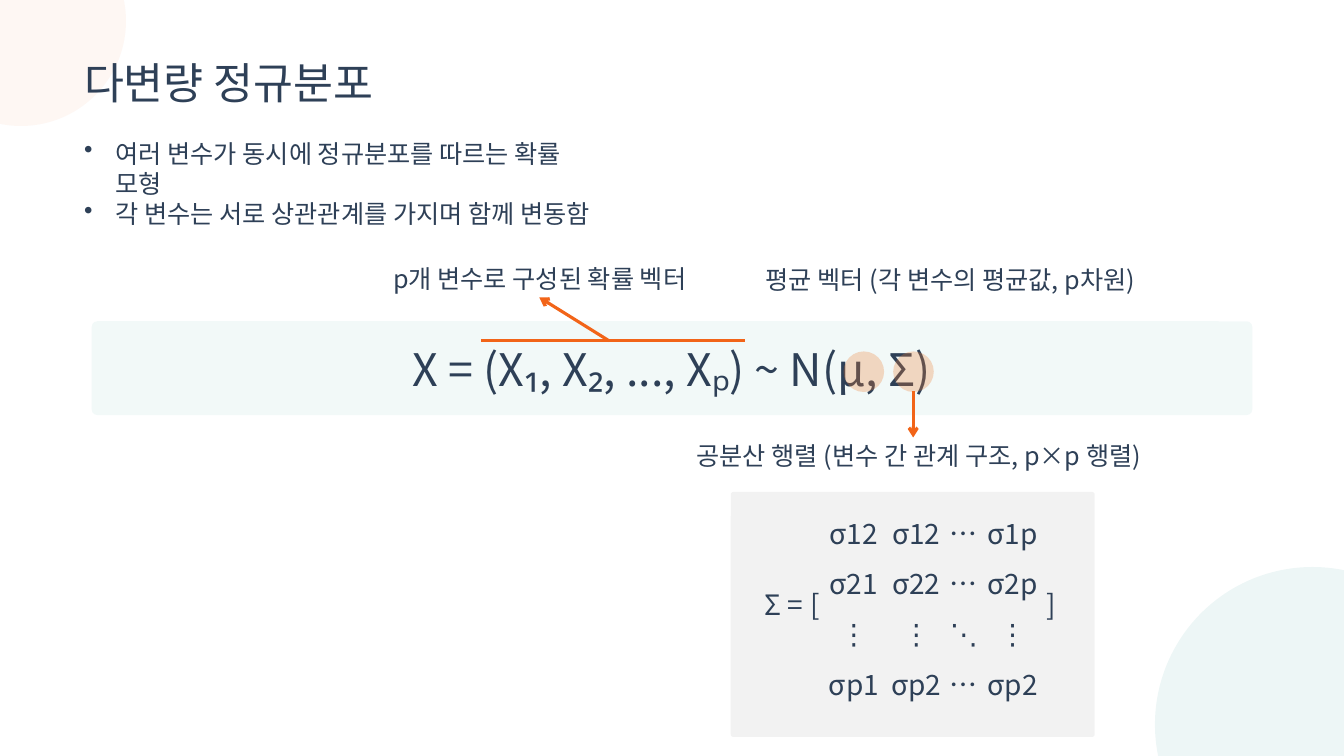
from dataclasses import dataclass

from lxml import etree
from pptx import Presentation
from pptx.dml.color import RGBColor
from pptx.enum.shapes import MSO_CONNECTOR, MSO_SHAPE
from pptx.enum.text import MSO_ANCHOR, PP_ALIGN
from pptx.oxml.ns import qn
from pptx.util import Pt

OVAL, ROUND = MSO_SHAPE.OVAL, MSO_SHAPE.ROUNDED_RECTANGLE
STRAIGHT = MSO_CONNECTOR.STRAIGHT
LEFT, CENTER = PP_ALIGN.LEFT, PP_ALIGN.CENTER
TOP, MIDDLE = MSO_ANCHOR.TOP, MSO_ANCHOR.MIDDLE

FACE = "Noto Sans CJK KR"
INK, TEAL, ORANGE, AMBER, BLACK = "2E4057", "048A81", "F26418", "ED7D31", "000000"
INDENT = 22.5


@dataclass
class Panel:
    kind: int
    box: tuple[float, float, float, float]
    color: str
    alpha: int
    round: float = 0


@dataclass
class Label:
    box: tuple[float, float, float, float]
    lines: tuple[str, ...]
    size: float = 18
    align: int = LEFT
    anchor: int = MIDDLE
    bullet: bool = False


@dataclass
class Rule:
    start: tuple[float, float]
    end: tuple[float, float]
    arrow: bool = True


def paint(color: str) -> RGBColor:
    return RGBColor.from_string(color)


def add_bullet(para) -> None:
    props = para._p.get_or_add_pPr()
    props.set("marL", str(Pt(INDENT)))
    props.set("indent", str(-Pt(INDENT)))
    etree.SubElement(props, qn("a:buChar"), char="•")


def write(frame, label: Label) -> None:
    for name, value in {"word_wrap": True, "vertical_anchor": label.anchor}.items():
        setattr(frame, name, value)
    for i, line in enumerate(label.lines):
        para = frame.paragraphs[0] if i == 0 else frame.add_paragraph()
        para.alignment = label.align
        if label.bullet:
            add_bullet(para)
        run = para.add_run()
        run.text = line
        for name, value in {"name": FACE, "size": Pt(label.size)}.items():
            setattr(run.font, name, value)
        run.font.color.rgb = paint(INK)
        etree.SubElement(run._r.get_or_add_rPr(), qn("a:ea"), typeface=FACE)


def draw_panel(shapes, panel: Panel):
    shape = shapes.add_shape(panel.kind, *map(Pt, panel.box))
    shape.shadow.inherit = False
    shape.line.fill.background()
    shape.fill.solid()
    shape.fill.fore_color.rgb = paint(panel.color)
    tint = shape.fill._xPr.find(".//" + qn("a:srgbClr"))
    etree.SubElement(tint, qn("a:alpha"), val=str(panel.alpha * 1000))
    if panel.round:
        shape.adjustments[0] = panel.round
    return shape


def draw_label(shapes, label: Label) -> None:
    frame = shapes.add_textbox(*map(Pt, label.box)).text_frame
    for side in ("left", "top", "right", "bottom"):
        setattr(frame, "margin_" + side, 0)
    write(frame, label)


def draw_rule(shapes, rule: Rule) -> None:
    link = shapes.add_connector(STRAIGHT, *map(Pt, rule.start + rule.end))
    link.line.color.rgb = paint(ORANGE)
    link.line.width = Pt(2.25)
    if rule.arrow:
        etree.SubElement(link.line._get_or_add_ln(), qn("a:tailEnd"), type="arrow")
    etree.SubElement(link._element.spPr, qn("a:effectLst"))


# Corner circles
CORNERS = (
    Panel(OVAL, (825, 405, 225, 225), TEAL, 7),
    Panel(OVAL, (-60, -60, 150, 150), "F26419", 5),
)

# Title, bullets and callouts
LABELS = (
    Label((60, 98.5, 375, 26), ("여러 변수가 동시에 정규분포를 따르는 확률 모형",
                                "각 변수는 서로 상관관계를 가지며 함께 변동함"),
          anchor=TOP, bullet=True),
    Label((265.5, 186, 240, 26), ("p개 변수로 구성된 확률 벡터",), align=CENTER),
    Label((547, 186, 266.5, 27), ("평균 벡터 (각 변수의 평균값, p차원)",)),
    Label((497.5, 312.5, 366, 26), ("공분산 행렬 (변수 간 관계 구조, p×p 행렬)",)),
    Label((60, 36, 262, 46), ("다변량 정규분포",), 31),
)

# Formula band and its marks
BAND = Panel(ROUND, (65.5, 229.5, 829, 67), TEAL, 5, 0.06)
FORMULA = Label(BAND.box, ("X = (X₁, X₂, ..., Xₚ) ~ N(μ, Σ)",), 32, CENTER)
RULES = (
    Rule((343.5, 243.4), (532, 243.4), False),
    Rule((435, 243.4), (385.2, 212.4)),
    Rule((652.3, 279.5), (652.3, 312.5)),
)
DOTS = tuple(Panel(OVAL, (x, 251, 29, 29), AMBER, 28) for x in (602.5, 638))

# Covariance matrix
CARD = Panel(ROUND, (522, 351.4, 260, 175), BLACK, 5, 0.011)
SIGNS = (("Σ =", 560), ("[", 582), ("]", 751))
MIDS = (610, 654.5, 688.5, 723.3)
ROWS = (
    ("σ12", "σ12", "⋯", "σ1p"),
    ("σ21", "σ22", "⋯", "σ2p"),
    ("⋮", "⋮", "⋱", "⋮"),
    ("σp1", "σp2", "⋯", "σp2"),
)
CELL_W, CELL_H = 60, 31
SIGN_Y, ROW_Y, STEP = 416.2, 365.6, 35.8


def draw_matrix(shapes) -> None:
    group = shapes.add_group_shape().shapes
    draw_panel(group, CARD)
    cells = [(sign, mid, SIGN_Y) for sign, mid in SIGNS]
    cells += [(word, mid, ROW_Y + i * STEP)
              for i, row in enumerate(ROWS) for word, mid in zip(row, MIDS)]
    for word, mid, y in cells:
        box = (mid - CELL_W / 2, y, CELL_W, CELL_H)
        draw_label(group, Label(box, (word,), 20, CENTER))


def main() -> None:
    deck = Presentation()
    deck.slide_width, deck.slide_height = Pt(960), Pt(540)
    shapes = deck.slides.add_slide(deck.slide_layouts[6]).shapes
    for panel in CORNERS:
        draw_panel(shapes, panel)
    for label in LABELS:
        draw_label(shapes, label)
    write(draw_panel(shapes, BAND).text_frame, FORMULA)
    for rule in RULES:
        draw_rule(shapes, rule)
    for dot in DOTS:
        draw_panel(shapes, dot)
    draw_matrix(shapes)
    deck.save("out.pptx")


if __name__ == "__main__":
    main()
